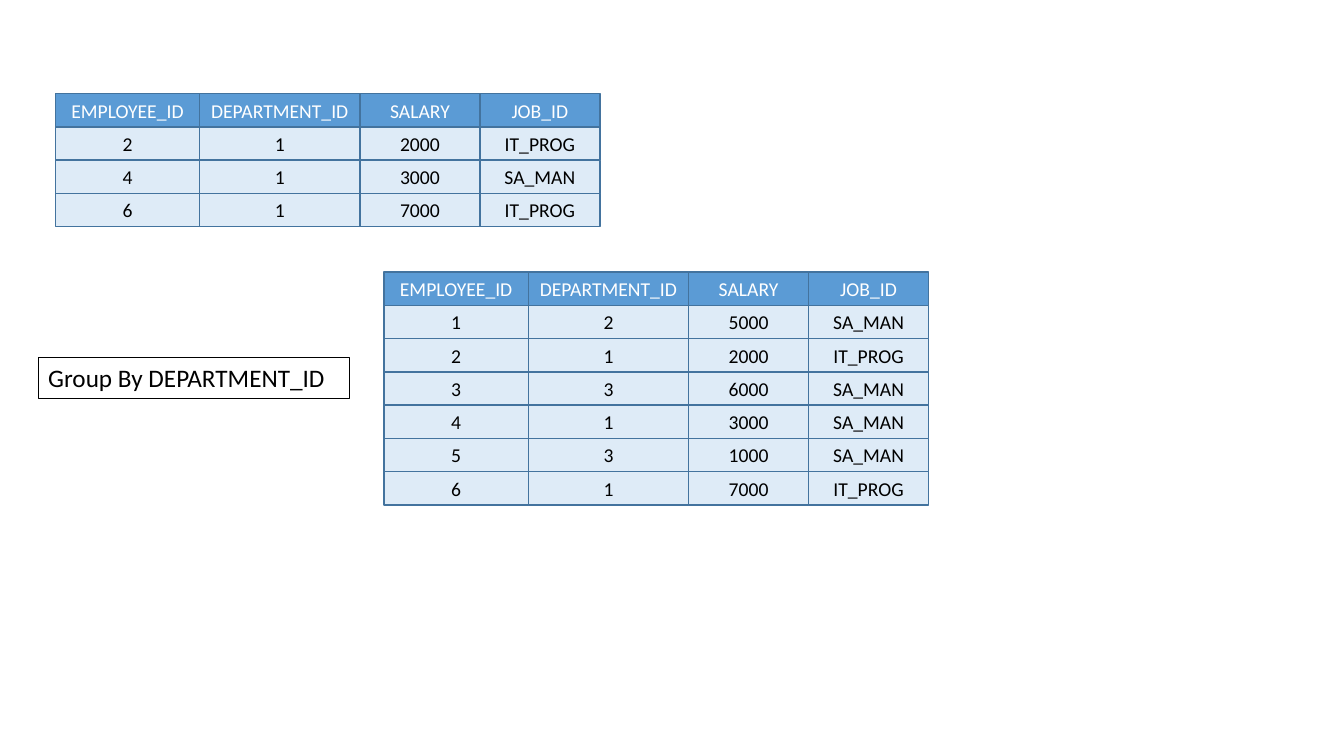
"""Build a slide that shows employee rows grouped by department."""
from pptx import Presentation
from pptx.dml.color import RGBColor
from pptx.enum.shapes import MSO_SHAPE
from pptx.enum.text import MSO_ANCHOR, MSO_AUTO_SIZE, PP_ALIGN
from pptx.util import Inches, Pt

RECTANGLE = MSO_SHAPE.RECTANGLE
MIDDLE = MSO_ANCHOR.MIDDLE
CENTER = PP_ALIGN.CENTER
GROW = MSO_AUTO_SIZE.SHAPE_TO_FIT_TEXT
COLUMN_WIDTHS = (1.43, 1.59, 1.19, 1.19)
ROW_HEIGHT = 0.33

HEADER = ("EMPLOYEE_ID", "DEPARTMENT_ID", "SALARY", "JOB_ID")
EMPLOYEES = [
    ("1", "2", "5000", "SA_MAN"),
    ("2", "1", "2000", "IT_PROG"),
    ("3", "3", "6000", "SA_MAN"),
    ("4", "1", "3000", "SA_MAN"),
    ("5", "3", "1000", "SA_MAN"),
    ("6", "1", "7000", "IT_PROG"),
]
DEPARTMENT_ONE = [employee for employee in EMPLOYEES if employee[1] == "1"]


def color(hex_code):
    """Return the colour for a hex string."""
    return RGBColor.from_string(hex_code)


def write(shape, text, size, ink, border, border_width):
    """Put text in a shape and set its font and outline."""
    shape.line.color.rgb = color(border)
    shape.line.width = Pt(border_width)
    shape.text_frame.text = text
    span = shape.text_frame.paragraphs[0].runs[0]
    span.font.name = "Calibri"
    span.font.size = Pt(size)
    span.font.color.rgb = color(ink)


deck = Presentation()
deck.slide_width = Inches(13.33)
deck.slide_height = Inches(7.5)
page = deck.slides.add_slide(deck.slide_layouts[6])

for left, top, employees in ((3.81, 2.7, EMPLOYEES), (0.55, 0.93, DEPARTMENT_ONE)):
    for row_index, values in enumerate([HEADER, *employees]):
        fill, ink = ("DEEBF7", "000000") if row_index else ("5B9BD5", "FFFFFF")
        row = page.shapes.add_group_shape()
        for column_index, (value, width) in enumerate(zip(values, COLUMN_WIDTHS)):
            box = row.shapes.add_shape(
                RECTANGLE,
                Inches(left + sum(COLUMN_WIDTHS[:column_index])),
                Inches(top + row_index * ROW_HEIGHT),
                Inches(width), Inches(ROW_HEIGHT))
            box.shadow.inherit = False
            box.fill.solid()
            box.fill.fore_color.rgb = color(fill)
            write(box, value, 14, ink, "43739E", 1)
            box.text_frame.vertical_anchor = MIDDLE
            box.text_frame.paragraphs[0].alignment = CENTER

label = page.shapes.add_textbox(Inches(0.38), Inches(3.55), Inches(3.09), Inches(0.4))
write(label, "Group By DEPARTMENT_ID", 18, "000000", "000000", 0.75)
label.text_frame.word_wrap = True
label.text_frame.auto_size = GROW

deck.save("out.pptx")
